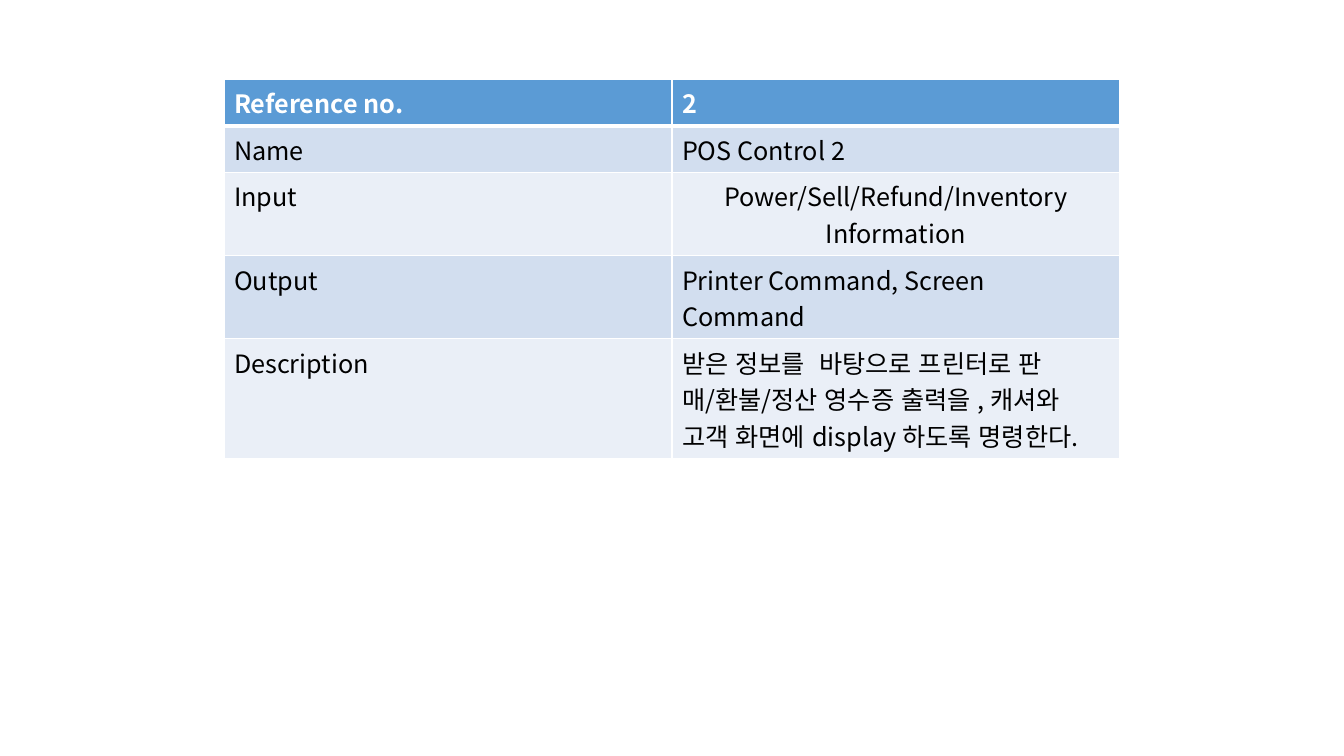
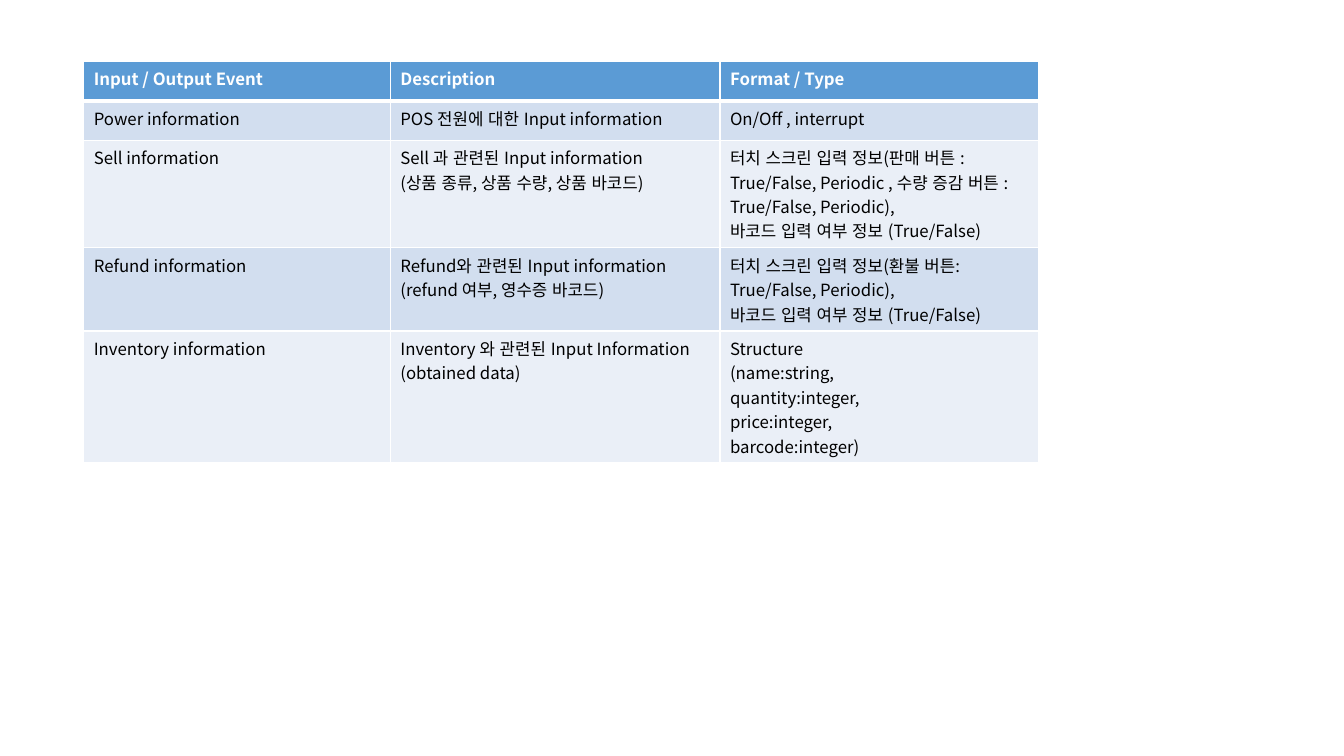
from lxml import etree
from pptx import Presentation
from pptx.dml.color import RGBColor
from pptx.enum.lang import MSO_LANGUAGE_ID
from pptx.enum.text import PP_ALIGN
from pptx.oxml.ns import qn
from pptx.util import Pt

CENTER = PP_ALIGN.CENTER
KOREAN = MSO_LANGUAGE_ID.KOREAN
BLANK_LAYOUT = 6
FONT = "Noto Sans CJK KR"
COLORS = {
    "header": "5B9BD5",
    "odd_row": "D2DEEF",
    "even_row": "EAEFF7",
    "border": "FFFFFF",
    "header_text": "FFFFFF",
    "body_text": "000000",
}

CONTROL_ROWS = [
    ["Reference no.", "2"],
    ["Name", "POS Control 2"],
    ["Input", "Power/Sell/Refund/Inventory\nInformation"],
    ["Output", "Printer Command, Screen Command"],
    ["Description",
     "받은 정보를  바탕으로 프린터로 판\v매/환불/정산 영수증 출력을 , "
     "캐셔와 고객 화면에 display 하도록 명령한다."],
]

EVENT_ROWS = [
    ["Input / Output Event", "Description", "Format / Type"],
    ["Power information", "POS 전원에 대한 Input information", "On/Off , interrupt"],
    ["Sell information",
     "Sell 과 관련된 Input information\n(상품 종류, 상품 수량, 상품 바코드)",
     "터치 스크린 입력 정보(판매 버튼 : True/False, Periodic , "
     "수량 증감 버튼 : True/False, Periodic),\n바코드 입력 여부 정보 (True/False)"],
    ["Refund information",
     "Refund와 관련된 Input information\n(refund 여부, 영수증 바코드)",
     "터치 스크린 입력 정보(환불 버튼: True/False, Periodic),\n"
     "바코드 입력 여부 정보 (True/False)"],
    ["Inventory information",
     "Inventory 와 관련된 Input Information\n(obtained data)",
     "Structure\n(name:string,\nquantity:integer,\nprice:integer,\nbarcode:integer)"],
]


class TableDeck:
    def __init__(self):
        self.presentation = Presentation()
        self.presentation.slide_width = Pt(960)
        self.presentation.slide_height = Pt(540)
        self.slide = None

    def add_slide(self):
        layout = self.presentation.slide_layouts[BLANK_LAYOUT]
        self.slide = self.presentation.slides.add_slide(layout)

    def add_table(self, rows, left, top, widths, row_height, text_size):
        frame = self.slide.shapes.add_table(
            len(rows), len(widths), Pt(left), Pt(top),
            Pt(sum(widths)), Pt(row_height * len(rows)))
        table = frame.table
        for column, width in zip(table.columns, widths):
            column.width = Pt(width)
        for row_index, texts in enumerate(rows):
            table.rows[row_index].height = Pt(row_height)
            for column_index, text in enumerate(texts):
                cell = table.cell(row_index, column_index)
                cell.text_frame.text = text
                self.style_cell(cell, row_index)
                self.style_text(cell, row_index == 0, text_size)
        return table

    def style_cell(self, cell, row_index):
        top_width = 3 if row_index == 1 else 1
        bottom_width = 3 if row_index == 0 else 1
        self.add_borders(cell, {"L": 1, "R": 1, "T": top_width, "B": bottom_width})
        band = "odd_row" if row_index % 2 else "even_row"
        cell.fill.solid()
        cell.fill.fore_color.rgb = RGBColor.from_string(
            COLORS["header" if row_index == 0 else band])

    def add_borders(self, cell, widths):
        properties = cell._tc.get_or_add_tcPr()
        for side, width in widths.items():
            line = etree.SubElement(properties, qn("a:ln" + side), w=str(Pt(width)))
            fill = etree.SubElement(line, qn("a:solidFill"))
            etree.SubElement(fill, qn("a:srgbClr"), val=COLORS["border"])

    def style_text(self, cell, is_header, size):
        color = COLORS["header_text" if is_header else "body_text"]
        for paragraph in cell.text_frame.paragraphs:
            for run in paragraph.runs:
                run.font.name = FONT
                run.font.size = Pt(size)
                run.font.bold = is_header
                run.font.language_id = KOREAN
                run.font.color.rgb = RGBColor.from_string(color)
                etree.SubElement(run._r.get_or_add_rPr(), qn("a:ea"), typeface=FONT)

    def center_cell(self, cell):
        for paragraph in cell.text_frame.paragraphs:
            paragraph.alignment = CENTER

    def save(self):
        self.presentation.save("out.pptx")


def main():
    deck = TableDeck()
    deck.add_slide()
    control_table = deck.add_table(
        CONTROL_ROWS, left=160, top=56.8, widths=[320, 320], row_height=29.2, text_size=18)
    deck.center_cell(control_table.cell(2, 1))

    deck.add_slide()
    deck.add_table(
        EVENT_ROWS, left=59.8, top=43.8, widths=[219, 235.5, 227.5],
        row_height=28.2, text_size=12)
    deck.save()


if __name__ == "__main__":
    main()
